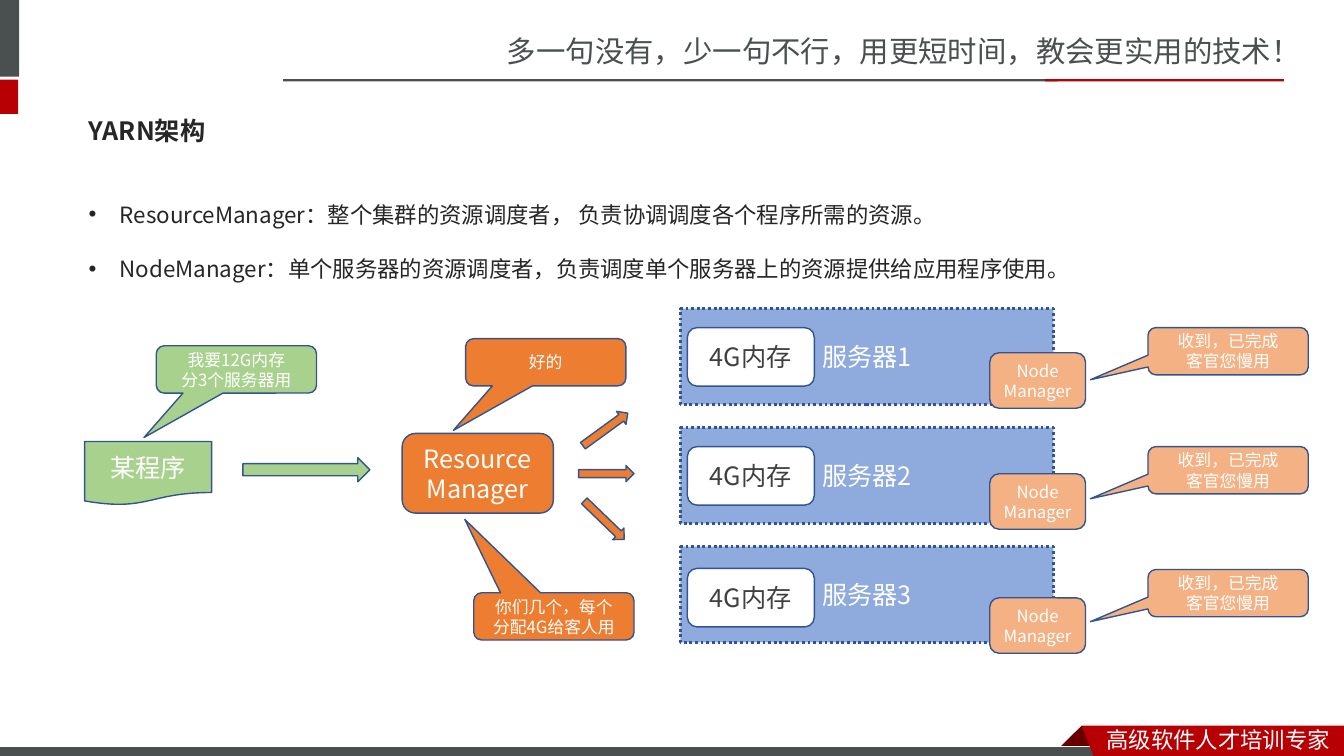
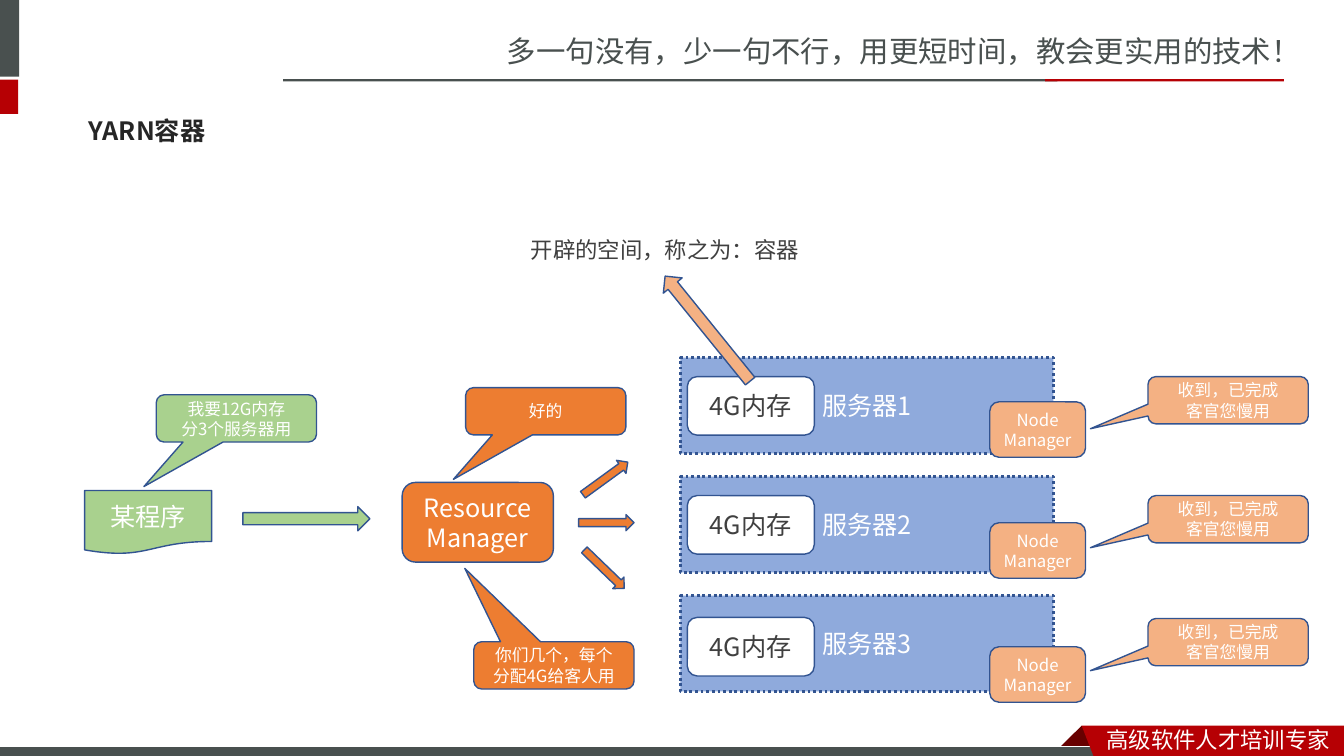
from dataclasses import dataclass

from lxml import etree
from pptx import Presentation
from pptx.dml.color import RGBColor
from pptx.enum.dml import MSO_LINE
from pptx.enum.shapes import MSO_SHAPE
from pptx.enum.text import MSO_ANCHOR, PP_ALIGN
from pptx.oxml.ns import qn
from pptx.util import Pt

RECT = MSO_SHAPE.RECTANGLE
ROUNDED = MSO_SHAPE.ROUNDED_RECTANGLE
DOCUMENT = MSO_SHAPE.FLOWCHART_DOCUMENT
CALLOUT = MSO_SHAPE.ROUNDED_RECTANGULAR_CALLOUT
RIGHT_ARROW = MSO_SHAPE.RIGHT_ARROW
LEFT_ARROW = MSO_SHAPE.LEFT_ARROW
DOTTED = MSO_LINE.ROUND_DOT
CENTER, LEFT = PP_ALIGN.CENTER, PP_ALIGN.LEFT
TOP, MIDDLE = MSO_ANCHOR.TOP, MSO_ANCHOR.MIDDLE

WHITE = RGBColor(0xFF, 0xFF, 0xFF)
SLATE = RGBColor(0x49, 0x50, 0x4F)
RED = RGBColor(0xB6, 0x00, 0x04)
DARK_RED = RGBColor(0x68, 0x00, 0x00)
INK = RGBColor(0x26, 0x26, 0x26)
GREY = RGBColor(0x40, 0x40, 0x40)
NAVY = RGBColor(0x32, 0x54, 0x91)
BLUE = RGBColor(0x8F, 0xAA, 0xDC)
GREEN = RGBColor(0xA9, 0xD1, 0x8E)
ORANGE = RGBColor(0xED, 0x7D, 0x31)
PEACH = RGBColor(0xF4, 0xB1, 0x83)

FONT_SC = "Noto Sans CJK SC"
FONT_JP = "Noto Sans CJK JP"

SERVER_TOP, SERVER_PITCH = 220.5, 85
TAIL_BELOW = (-0.577, 1.441, 0.167)
TAIL_ABOVE = (-0.556, -2.051, 0.167)
TAIL_LEFT = (-0.859, 0.603, 0.167)


@dataclass(frozen=True)
class Box:
    left: float
    top: float
    width: float
    height: float

    def lengths(self) -> tuple:
        return Pt(self.left), Pt(self.top), Pt(self.width), Pt(self.height)


@dataclass(frozen=True)
class Style:
    size: float
    color: RGBColor = WHITE
    font: str = FONT_SC
    bold: bool = False
    align: PP_ALIGN = CENTER
    line_spacing: float = 1.0
    space_before: float = 0
    bullet: bool = False


@dataclass(frozen=True)
class Part:
    kind: MSO_SHAPE
    box: Box
    fill: RGBColor
    lines: tuple = ()
    style: Style = Style(12)
    tail: tuple = ()
    rotation: float = 0
    line_width: float = 1


@dataclass(frozen=True)
class ServerRow:
    memory_top: float
    node_top: float
    reply_top: float


LARGE = Style(18)
MEMORY = Style(18, GREY)
SLOGAN = Style(21, SLATE, align=LEFT)
RIBBON = Style(16, align=LEFT)
TITLE = Style(18, INK, FONT_JP, bold=True, align=LEFT, line_spacing=0.9)
BULLETS = Style(16, INK, FONT_JP, align=LEFT, line_spacing=1.5, space_before=10, bullet=True)
NOTE = Style(16, GREY, FONT_JP, align=LEFT)

SERVER_ROWS = (
    ServerRow(234, 252, 234),
    ServerRow(319, 338.4, 319),
    ServerRow(406, 427, 406.8),
)


def callout(left: float, top: float, fill: RGBColor, lines: tuple, tail: tuple) -> Part:
    return Part(CALLOUT, Box(left, top, 114.5, 33.8), fill, lines, tail=tail)


def fan_arrow(left: float, top: float, rotation: float) -> Part:
    return Part(RIGHT_ARROW, Box(left, top, 39.6, 11.5), ORANGE, rotation=rotation)


REQUEST_PARTS = (
    Part(ROUNDED, Box(287.3, 309.6, 108, 56.9), ORANGE, ("Resource", "Manager"), LARGE),
    Part(DOCUMENT, Box(60.5, 315.4, 90.7, 45.4), GREEN, ("某程序",), LARGE),
    callout(111.6, 247, GREEN, ("我要12G内存", "分3个服务器用"), TAIL_BELOW),
    callout(332.6, 241.9, ORANGE, ("好的",), TAIL_BELOW),
    callout(338.4, 423.4, ORANGE, ("你们几个，每个", "分配4G给客人用"), TAIL_ABOVE),
    Part(RIGHT_ARROW, Box(173.5, 326.9, 90.7, 17.3), GREEN),
    fan_arrow(413.3, 332.6, 0),
    fan_arrow(412.6, 301, 324),
    fan_arrow(411.8, 365.8, 44),
)


def write(frame, lines: tuple, style: Style) -> None:
    frame.word_wrap = True
    for index, line in enumerate(lines):
        paragraph = frame.paragraphs[0] if index == 0 else frame.add_paragraph()
        paragraph.text = line
        paragraph.alignment = style.align
        paragraph.line_spacing = style.line_spacing
        paragraph.space_before = Pt(style.space_before if index else 0)
        properties = paragraph._p.get_or_add_pPr()
        if style.bullet:
            properties.set("marL", str(Pt(22.3)))
            properties.set("indent", str(-Pt(22.3)))
            etree.SubElement(properties, qn("a:buFont")).set("typeface", "Arial")
            etree.SubElement(properties, qn("a:buChar")).set("char", "•")
        font = paragraph.font
        font.name, font.size, font.bold = style.font, Pt(style.size), style.bold
        font.color.rgb = style.color
        # East Asian typeface follows the Latin one
        east_asian = etree.SubElement(properties.find(qn("a:defRPr")), qn("a:ea"))
        east_asian.set("typeface", style.font)


def add_text(slide, box: Box, lines: tuple, style: Style, anchor: MSO_ANCHOR = TOP) -> None:
    frame = slide.shapes.add_textbox(*box.lengths()).text_frame
    frame.vertical_anchor = anchor
    write(frame, lines, style)


def paint(shape, fill: RGBColor, line: RGBColor = NAVY, width: float = 0) -> None:
    shape.shadow.inherit = False
    shape.fill.solid()
    shape.fill.fore_color.rgb = fill
    if width:
        shape.line.color.rgb = line
        shape.line.width = Pt(width)
    else:
        shape.line.fill.background()


def add_part(slide, part: Part, shift: float = 0):
    box = Box(part.box.left, part.box.top + shift, part.box.width, part.box.height)
    shape = slide.shapes.add_shape(part.kind, *box.lengths())
    for index, value in enumerate(part.tail):
        shape.adjustments[index] = value
    shape.rotation = part.rotation
    paint(shape, part.fill, width=part.line_width)
    write(shape.text_frame, part.lines, part.style)
    return shape


def add_outline(slide, points: tuple, fill: RGBColor) -> None:
    start, *rest = [(Pt(x), Pt(y)) for x, y in points]
    builder = slide.shapes.build_freeform(*start)
    builder.add_line_segments(rest, close=True)
    paint(builder.convert_to_shape(), fill)


def add_frame(slide, title: str) -> None:
    # Slogan, side bars and header rule
    add_text(slide, Box(355, 20.2, 605, 32.4),
             ("多一句没有，少一句不行，用更短时间，教会更实用的技术！",), SLOGAN)
    for box, fill in (
        (Box(-4.3, 0, 18, 54.7), SLATE),
        (Box(-4.3, 56.9, 17.3, 24.5), RED),
        (Box(202.3, 56.6, 553, 1.6), SLATE),
        (Box(746.6, 56.6, 170.6, 1.6), RED),
    ):
        add_part(slide, Part(RECT, box, fill, line_width=0))
    # Footer band and ribbon
    add_outline(slide, ((772.6, 518.4), (788.4, 534.2), (787.7, 535), (757.4, 535),
                        (756.7, 534.2)), DARK_RED)
    band = slide.shapes.add_shape(RECT, *Box(-0.7, 533.5, 792, 8.6).lengths())
    paint(band, SLATE, WHITE, 0.75)
    add_outline(slide, ((772.6, 518.4), (960, 518.4), (960, 542.9), (781.9, 542.2)), RED)
    add_text(slide, Box(783.4, 514.8, 176.6, 26.6), ("高级软件人才培训专家",), RIBBON)
    # Title
    add_text(slide, Box(56.2, 74.2, 842.4, 41), (title,), TITLE, MIDDLE)


def add_cluster(slide, shift: float = 0) -> None:
    for part in REQUEST_PARTS:
        add_part(slide, part, shift)
    for index, row in enumerate(SERVER_ROWS):
        server_box = Box(486, SERVER_TOP + index * SERVER_PITCH, 266.4, 68.4)
        server = add_part(slide, Part(RECT, server_box, BLUE, (f"服务器{index + 1}",), LARGE,
                                      line_width=2), shift)
        server.line.dash_style = DOTTED
        for part in (
            Part(ROUNDED, Box(707, row.node_top, 68.4, 39.6), PEACH, ("Node", "Manager")),
            Part(ROUNDED, Box(491, row.memory_top, 90.7, 41.8), WHITE, ("4G内存",), MEMORY),
            callout(820, row.reply_top, PEACH, ("收到，已完成", "客官您慢用"), TAIL_LEFT),
        ):
            add_part(slide, part, shift)


def add_architecture_slide(slide) -> None:
    add_frame(slide, "YARN架构")
    add_text(slide, Box(56.2, 130.3, 842.4, 331.9), (
        "ResourceManager：整个集群的资源调度者， 负责协调调度各个程序所需的资源。",
        "NodeManager：单个服务器的资源调度者，负责调度单个服务器上的资源提供给应用程序使用。",
    ), BULLETS)
    add_cluster(slide)


def add_container_slide(slide) -> None:
    add_frame(slide, "YARN容器")
    add_cluster(slide, shift=35)
    add_part(slide, Part(LEFT_ARROW, Box(457.2, 226.1, 96.5, 17.3), PEACH, rotation=51))
    add_text(slide, Box(372.2, 164.9, 319.7, 26.6), ("开辟的空间，称之为：容器",), NOTE)


def main() -> None:
    deck = Presentation()
    deck.slide_width, deck.slide_height = Pt(960), Pt(540)
    blank = deck.slide_layouts[6]
    for build in (add_architecture_slide, add_container_slide):
        build(deck.slides.add_slide(blank))
    deck.save("out.pptx")


if __name__ == "__main__":
    main()
